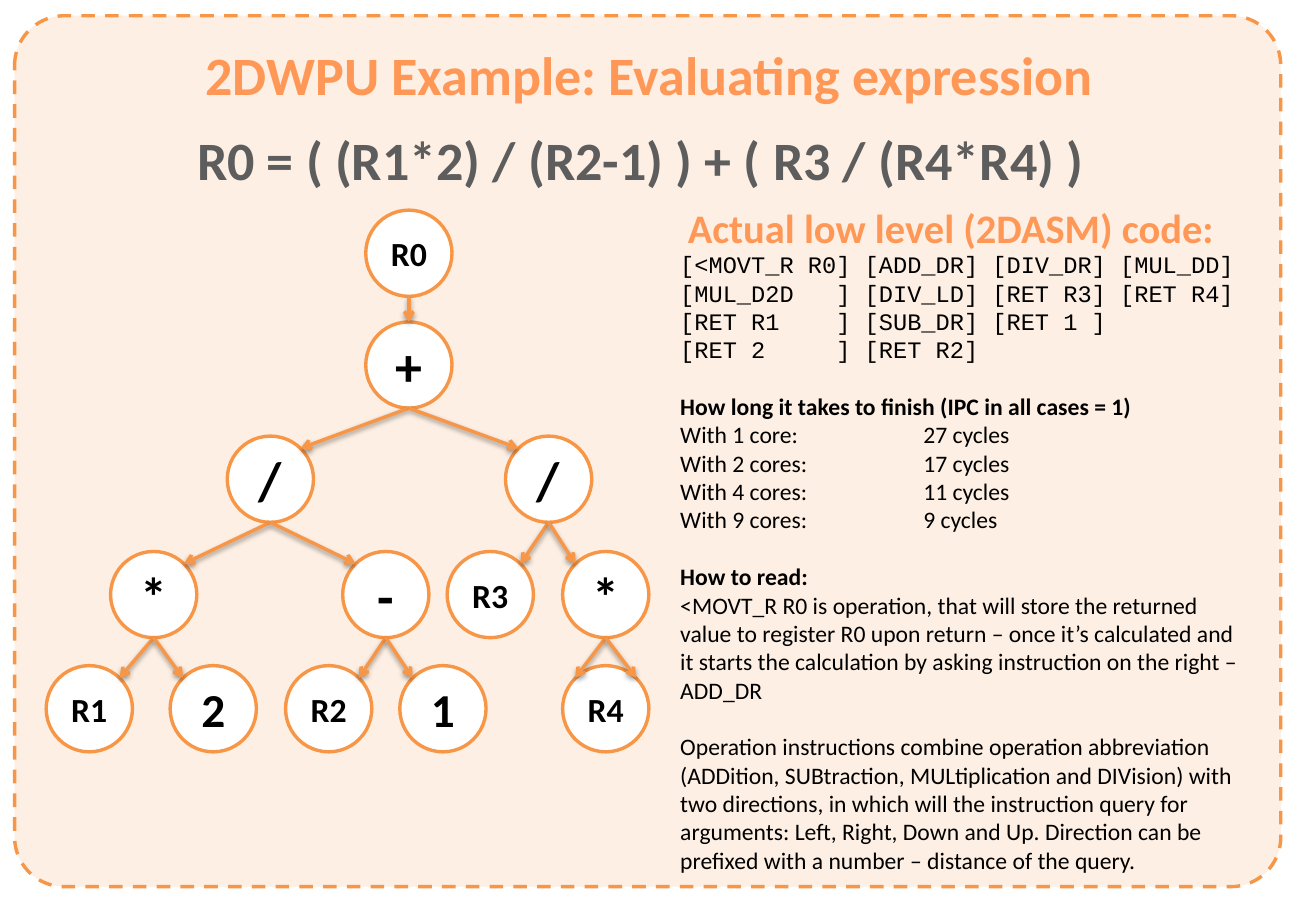
import dataclasses
import lxml.etree
import pptx
import pptx.dml.color
import pptx.enum.dml
import pptx.enum.shapes
import pptx.enum.text
import pptx.oxml.ns
import pptx.util

Inches = pptx.util.Inches
Pt = pptx.util.Pt
Align = pptx.enum.text.PP_ALIGN
Anchor = pptx.enum.text.MSO_ANCHOR
Shape = pptx.enum.shapes.MSO_SHAPE
qn = pptx.oxml.ns.qn


@dataclasses.dataclass(frozen=True)
class Theme:
    """Colours, fonts and sizes of the slide."""
    edge: str = "F79646"
    panel: str = "FDEADA"
    white: str = "FFFFFF"
    black: str = "000000"
    accent: str = "FF9856"
    gray: str = "5D5D5D"
    sans: str = "Calibri"
    mono: str = "Courier New"
    title: int = 32
    head: int = 24
    digit: int = 28
    label: int = 20
    body: int = 14
    pitch: float = 16.8
    stroke: int = 2


THEME = Theme()

NODES = {
    "R0": ("R0", 2.63, 0), "add": ("+", 2.63, 0.92),
    "div1": ("/", 1.49, 1.86), "div2": ("/", 3.78, 1.86),
    "mul1": ("*", 0.53, 2.81), "sub": ("-", 2.44, 2.81),
    "R3": ("R3", 3.3, 2.81), "mul2": ("*", 4.25, 2.81),
    "R1": ("R1", 0, 3.75), "two": ("2", 1.02, 3.75),
    "R2": ("R2", 1.97, 3.75), "one": ("1", 2.91, 3.75),
    "R4": ("R4", 4.25, 3.75),
}
EDGES = [
    ("R0", "add", 0), ("add", "div1", 1), ("add", "div2", -1),
    ("div1", "mul1", 1), ("div1", "sub", -1),
    ("mul1", "R1", 1), ("mul1", "two", -1),
    ("sub", "R2", 1), ("sub", "one", -1),
    ("div2", "R3", 1), ("div2", "mul2", -1),
    ("mul2", "R4", -1), ("mul2", "R4", 1),
]
CODE = [
    "[<MOVT_R R0] [ADD_DR] [DIV_DR] [MUL_DD]",
    "[MUL_D2D   ] [DIV_LD] [RET R3] [RET R4]",
    "[RET R1    ] [SUB_DR] [RET 1 ]",
    "[RET 2     ] [RET R2]",
]
TIMES = [
    "With 1 core:\t27 cycles", "With 2 cores:\t17 cycles",
    "With 4 cores:\t11 cycles", "With 9 cores:\t9 cycles",
]
READ = (
    "<MOVT_R R0 is operation, that will store the returned value to register "
    "R0 upon return – once it’s calculated and it starts the calculation by "
    "asking instruction on the right – ADD_DR"
)
RULES = (
    "Operation instructions combine operation abbreviation (ADDition, "
    "SUBtraction, MULtiplication and DIVision) with two directions, in which "
    "will the instruction query for arguments: Left, Right, Down and Up. "
    "Direction can be prefixed with a number – distance of the query."
)


def rgb(code):
    """Turn a hex code into a colour."""
    return pptx.dml.color.RGBColor.from_string(code)


def write(frame, text, size=THEME.body, color=THEME.black, font=THEME.sans,
          bold=False, align=Align.LEFT, wrap=True, anchor=Anchor.TOP,
          pitch=None, gap=0, tab=None):
    """Fill the first paragraph, or add one, with formatted text."""
    frame.word_wrap = wrap
    frame.vertical_anchor = anchor
    para = frame.add_paragraph() if frame.text else frame.paragraphs[0]
    para.alignment = align
    para.space_before = Pt(gap)
    if pitch:
        para.line_spacing = Pt(pitch)
    if tab:
        stops = lxml.etree.SubElement(para._p.get_or_add_pPr(), qn("a:tabLst"))
        lxml.etree.SubElement(stops, qn("a:tab"), pos=str(Inches(tab)), algn="l")
    run = para.add_run()
    run.text = text
    run.font.size = Pt(size)
    run.font.name = font
    run.font.bold = bold
    run.font.color.rgb = rgb(color)


def draw(slide, kind, box, fill):
    """Add a filled shape with the orange outline."""
    shape = slide.shapes.add_shape(kind, *map(Inches, box))
    shape.shadow.inherit = False
    shape.fill.solid()
    shape.fill.fore_color.rgb = rgb(fill)
    shape.line.color.rgb = rgb(THEME.edge)
    shape.line.width = Pt(THEME.stroke)
    return shape


def panel(slide, box):
    """Put the dashed, translucent panel behind everything."""
    shape = draw(slide, Shape.ROUNDED_RECTANGLE, box, THEME.panel)
    shape.adjustments[0] = 0.057
    shape.line.dash_style = pptx.enum.dml.MSO_LINE.DASH
    color = shape._element.spPr.find(qn("a:solidFill"))[0]
    lxml.etree.SubElement(color, qn("a:alpha"), val="74000")
    slide.shapes._spTree.insert(2, shape._element)


def header(slide, box):
    """Place the title with the formula below it."""
    left, top, width, height = box
    title = slide.shapes.title
    title.left, title.top, title.width, title.height = map(Inches, box)
    look = dict(size=THEME.title, bold=True, align=Align.CENTER, wrap=False)
    write(title.text_frame, "2DWPU Example: Evaluating expression",
          color=THEME.accent, **look)
    place = (left - 0.07, top + 0.7, width, height)
    text = slide.shapes.add_textbox(*map(Inches, place))
    write(text.text_frame, "R0 = ( (R1*2) / (R2-1) ) + ( R3 / (R4*R4) )",
          color=THEME.gray, **look)


def arrow(slide, start, end):
    """Draw a shadowed arrow between two points."""
    line = slide.shapes.add_connector(
        pptx.enum.shapes.MSO_CONNECTOR.STRAIGHT, *map(Inches, start + end))
    line.line.color.rgb = rgb(THEME.edge)
    line.line.width = Pt(THEME.stroke)
    stroke = line.line._get_or_add_ln()
    lxml.etree.SubElement(stroke, qn("a:tailEnd"), type="arrow")
    effect = lxml.etree.SubElement(line._element.spPr, qn("a:effectLst"))
    shade = lxml.etree.SubElement(
        effect, qn("a:outerShdw"), blurRad=str(Pt(3.1)), dist=str(Pt(1.6)),
        dir="5400000", rotWithShape="0")
    color = lxml.etree.SubElement(shade, qn("a:srgbClr"), val=THEME.black)
    lxml.etree.SubElement(color, qn("a:alpha"), val="38000")


def tree(slide, box, side=0.71):
    """Draw the expression tree from the top left of its box."""
    left, top = box[:2]
    for text, across, down in NODES.values():
        place = (left + across, top + down, side, side)
        node = draw(slide, Shape.OVAL, place, THEME.white)
        size = (THEME.label if len(text) > 1 else
                THEME.digit if text.isdigit() else THEME.title)
        write(node.text_frame, text, size=size, bold=True, wrap=False,
              align=Align.CENTER, anchor=Anchor.MIDDLE)
    for parent, child, turn in EDGES:
        across, down = NODES[parent][1:]
        start = (left + across + side / 2, top + down + side)
        across, down = NODES[child][1:]
        end = (left + across + side / 2 + 0.25 * turn,
               top + down + 0.1 * abs(turn))
        arrow(slide, start, end)


def notes(slide, box):
    """Place the code heading, the code and the explanations."""
    left, top, width, height = box
    place = (left, top + 0.39, width, height - 0.39)
    frame = slide.shapes.add_textbox(*map(Inches, place)).text_frame
    look = dict(pitch=THEME.pitch)
    for line in CODE:
        write(frame, line, font=THEME.mono, **look)
    write(frame, "How long it takes to finish (IPC in all cases = 1)",
          bold=True, gap=THEME.pitch, **look)
    for line in TIMES:
        write(frame, line, tab=2, **look)
    write(frame, "How to read:", bold=True, gap=THEME.pitch, **look)
    write(frame, READ, **look)
    write(frame, RULES, gap=THEME.pitch, **look)
    head = slide.shapes.add_textbox(*map(Inches, (left, top, 4.65, 0.5)))
    write(head.text_frame, "Actual low level (2DASM) code:", size=THEME.head,
          color=THEME.accent, bold=True, align=Align.CENTER, wrap=False)


def main():
    """Build and save the slide."""
    deck = pptx.Presentation()
    deck.slide_width, deck.slide_height = Inches(10.83), Inches(7.5)
    slide = deck.slides.add_slide(deck.slide_layouts[5])
    panel(slide, (0.12, 0.13, 10.42, 7.17))
    header(slide, (1.43, 0.29, 7.83, 0.64))
    tree(slide, (0.38, 1.73, 4.96, 4.46))
    notes(slide, (5.5, 1.62, 4.8, 5.67))
    deck.save("out.pptx")


main()
